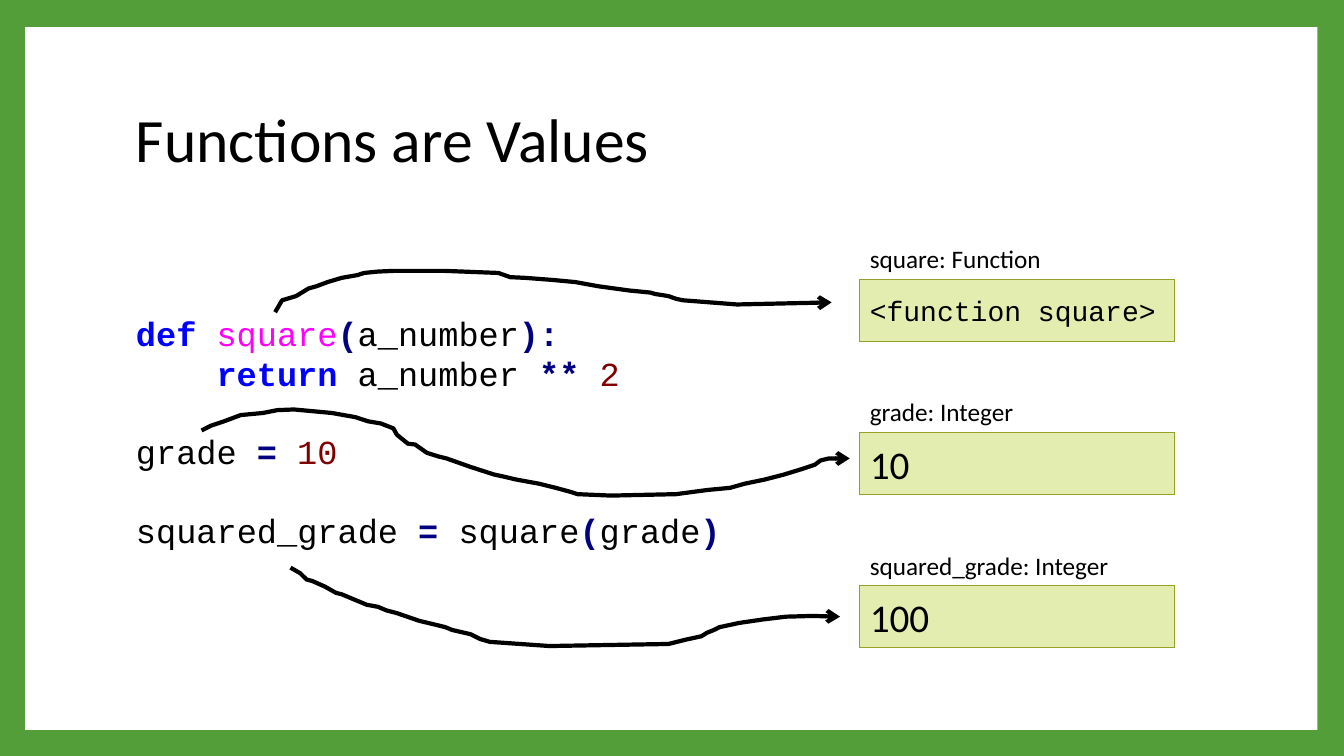
from pptx import Presentation
from pptx.dml.color import RGBColor
from pptx.enum.shapes import MSO_SHAPE
from pptx.enum.text import MSO_ANCHOR, MSO_AUTO_SIZE, PP_ALIGN
from pptx.oxml.ns import qn
from pptx.util import Pt
from lxml.etree import SubElement

GREEN = RGBColor(0x54, 0x9E, 0x39)
WHITE = RGBColor(0xFF, 0xFF, 0xFF)
BLACK = RGBColor(0, 0, 0)
BOX_FILL = RGBColor(0xE4, 0xED, 0xB0)
BOX_LINE = RGBColor(0x94, 0xA0, 0x27)
KEYWORD = RGBColor(0, 0, 0xFF)
DEFINED = RGBColor(0xFF, 0, 0xFF)
OPERATOR = RGBColor(0, 0, 0x80)
NUMBER = RGBColor(0x80, 0, 0)
BOLD_COLORS = (KEYWORD, OPERATOR)
SANS, MONO = "Calibri", "Courier New"

TITLE = "Functions are Values"
# Each code line: (indent, space before, runs)
CODE = [
    (0, 0, [("def ", KEYWORD), ("square", DEFINED), ("(", OPERATOR),
            ("a_number", BLACK), ("):", OPERATOR)]),
    (57.6, 0, [("return ", KEYWORD), ("a_number ", BLACK),
               ("** ", OPERATOR), ("2", NUMBER)]),
    (0, 30 - 2.8, [("grade ", BLACK), ("= ", OPERATOR), ("10", NUMBER)]),
    (0, 30 - 2.8, [("squared_grade ", BLACK), ("=", OPERATOR),
                   (" square", BLACK), ("(", OPERATOR), ("grade", BLACK),
                   (")", OPERATOR)]),
]
CODE = [(indent, round(before, 1), runs) for indent, before, runs in CODE]

# Each variable: (label, label width, value, value font, value size)
VARIABLES = [
    ("square: Function", 139.7, "<function square>", MONO, 20),
    ("grade: Integer", 120.2, "10", SANS, 28),
    ("squared_grade: Integer", 189.4, "100", SANS, 28),
]
BOX_LEFT, BOX_TOP, BOX_PITCH = 614.2, 199.4, 109.4
BOX_WIDTH, BOX_HEIGHT, LABEL_HEIGHT = 224.6, 44.6, 29

# Hand-drawn arrows from each name to its value
ARROWS = [
    [(196.5, 223), (201.5, 214.5), (211.5, 211.5), (220.5, 206), (226, 204.5),
     (234, 201.5), (244, 198.5), (255.5, 196.5), (260, 195), (270, 194),
     (281, 193.5), (318, 193.5), (356, 195), (364.5, 198), (375.5, 198.5),
     (395, 200), (411, 201.5), (427.5, 204.5), (449.5, 207.5), (464.5, 209),
     (468, 210), (477.5, 211.5), (483, 213.5), (488, 214.5), (526.5, 217.5),
     (594, 216)],
    [(144, 307.5), (151, 304), (160, 301), (172, 296.5), (188, 295),
     (198, 293), (210, 292.5), (237, 295), (254, 298), (263, 301),
     (272, 302.5), (281, 306), (283.5, 310.5), (291.5, 317), (296.5, 317.5),
     (305, 323.5), (313, 326), (319, 327.5), (336, 333.5), (353, 339),
     (360, 340.5), (368.5, 342.5), (385, 345.5), (397, 348.5), (408, 351.5),
     (412.5, 353), (436.5, 354), (483, 353), (505.5, 350), (521.5, 348.5),
     (532, 345.5), (546.5, 342.5), (560, 339), (573, 335), (582, 332),
     (586, 329), (592, 327.5), (607, 327.5)],
    [(207.5, 405.5), (214.5, 409.5), (219, 414), (223, 415), (232, 419),
     (240, 423.5), (244, 424.5), (262, 432), (270, 433.5), (276, 436),
     (283.5, 438), (299.5, 443.5), (312, 446.5), (318, 448), (323, 450),
     (336, 453), (343, 456.5), (350, 458.5), (392.5, 461.5), (477.5, 460),
     (489.5, 457), (501, 454.5), (505, 452), (510, 450), (514, 448),
     (528, 445), (545, 442.5), (561.5, 440.5), (580, 440), (600, 440.5)],
]


def add_run(p, text, font, size, color=BLACK):
    r = p.add_run()
    r.text = text
    r.font.name, r.font.size = font, Pt(size)
    r.font.bold = color in BOLD_COLORS
    r.font.color.rgb = color


def add_text_box(s, left, top, width, height, wrap=True):
    sp = s.shapes.add_textbox(Pt(left), Pt(top), Pt(width), Pt(height))
    sp.text_frame.word_wrap = wrap
    return sp.text_frame


def add_rect(s, left, top, width, height, color):
    sp = s.shapes.add_shape(MSO_SHAPE.RECTANGLE, Pt(left), Pt(top),
                            Pt(width), Pt(height))
    sp.shadow.inherit = False
    sp.fill.solid()
    sp.fill.fore_color.rgb = color
    sp.line.fill.background()
    return sp


def add_code(s):
    tf = add_text_box(s, 90, 219.6, 480, 181.4)
    tf.auto_size = MSO_AUTO_SIZE.SHAPE_TO_FIT_TEXT
    for i, (indent, before, runs) in enumerate(CODE):
        p = tf.add_paragraph() if i else tf.paragraphs[0]
        p.space_before = Pt(before)
        pPr = p._p.get_or_add_pPr()
        pPr.set("marL", str(int(Pt(indent))))
        pPr.set("indent", "0")
        for text, color in runs:
            add_run(p, text, MONO, 24, color)


def add_variable(s, top, label, label_width, value, font, size):
    """Draw a value box with the variable's name and type above it."""
    sp = add_rect(s, BOX_LEFT, top, BOX_WIDTH, BOX_HEIGHT, BOX_FILL)
    sp.line.color.rgb = BOX_LINE
    sp.line.width = Pt(0.79)
    tf = sp.text_frame
    tf.vertical_anchor = MSO_ANCHOR.MIDDLE
    p = tf.paragraphs[0]
    p.alignment = PP_ALIGN.LEFT
    add_run(p, value, font, size)
    tf = add_text_box(s, BOX_LEFT, top - LABEL_HEIGHT, label_width,
                      LABEL_HEIGHT, wrap=False)
    tf.auto_size = MSO_AUTO_SIZE.SHAPE_TO_FIT_TEXT
    add_run(tf.paragraphs[0], label, SANS, 18)


def add_arrow(s, points):
    (x, y), *rest = [(Pt(px), Pt(py)) for px, py in points]
    builder = s.shapes.build_freeform(x, y)
    builder.add_line_segments(rest, close=False)
    sp = builder.convert_to_shape()
    sp.shadow.inherit = False
    sp.fill.background()
    sp.line.color.rgb = BLACK
    sp.line.width = Pt(3)
    ln = sp.line._get_or_add_ln()
    SubElement(ln, qn("a:round"))
    SubElement(ln, qn("a:tailEnd"), type="arrow")


def main():
    prs = Presentation()
    prs.slide_width, prs.slide_height = Pt(960), Pt(540)
    s = prs.slides.add_slide(prs.slide_layouts[6])
    s.background.fill.solid()
    s.background.fill.fore_color.rgb = GREEN
    add_rect(s, 18, 19.3, 923, 502, WHITE)

    tf = add_text_box(s, 90, 48.2, 777.6, 106.6)
    tf.vertical_anchor = MSO_ANCHOR.MIDDLE
    tf.paragraphs[0].line_spacing = 0.9
    add_run(tf.paragraphs[0], TITLE, SANS, 44)

    add_code(s)
    for i, variable in enumerate(VARIABLES):
        add_variable(s, BOX_TOP + i * BOX_PITCH, *variable)
    for points in ARROWS:
        add_arrow(s, points)
    prs.save("out.pptx")


if __name__ == "__main__":
    main()
